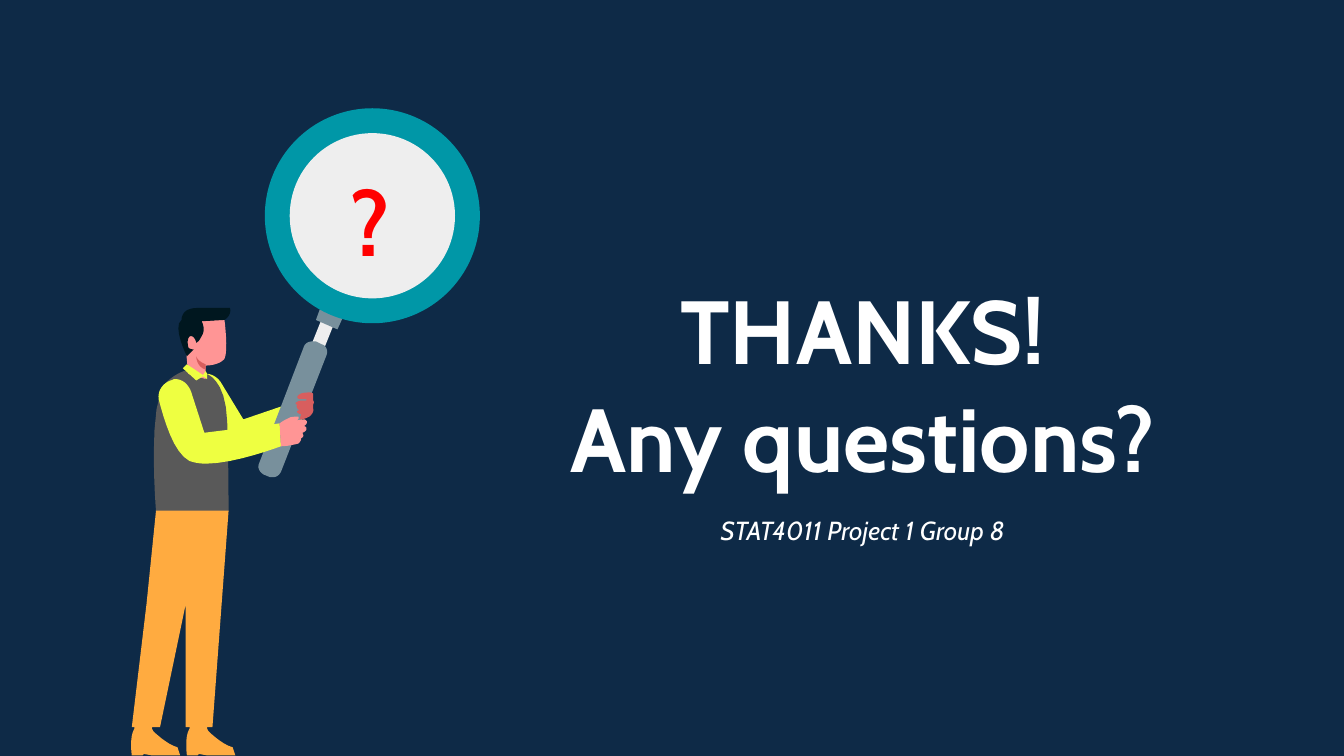
import pptx
import pptx.util
import pptx.dml.color
import pptx.enum.shapes
import pptx.enum.text

Cm = pptx.util.Cm
RGBColor = pptx.dml.color.RGBColor
SHAPE = pptx.enum.shapes.MSO_SHAPE
ANCHOR = pptx.enum.text.MSO_ANCHOR
ALIGN = pptx.enum.text.PP_ALIGN

NAVY = RGBColor(0x0E, 0x2A, 0x47)
WHITE = RGBColor(0xFF, 0xFF, 0xFF)
RED = RGBColor(0xFF, 0x00, 0x00)
LIME = RGBColor(0xEE, 0xFF, 0x41)
PALE = RGBColor(0xEE, 0xEE, 0xEE)
STEEL = RGBColor(0x78, 0x90, 0x9C)
TEAL = RGBColor(0x00, 0x97, 0xA7)
GREY = RGBColor(0x59, 0x59, 0x59)
SKIN = RGBColor(0xFF, 0x95, 0x95)
SHADE = RGBColor(0xD8, 0x5E, 0x5E)
BLACK = RGBColor(0x00, 0x17, 0x1F)
ORANGE = RGBColor(0xFF, 0xAB, 0x40)

FONT = "Cabin"
GRID_LEFT, GRID_TOP, GRID_WIDTH = 96, 81, 261
CURVE_STEPS = 8
SHOE_GAP = 41

MAGNIFIER = {
    "far sleeve": (LIME, "M 153 278 C 157 278 161 280 164 284 L 181 312 L 225 297 L 228 309 "
                   "C 228 309 196 337 177 337 C 175 337 174 337 173 336 "
                   "C 160 334 149 308 143 294 C 140 288 142 281 148 278 L 148 280 "
                   "C 149 279 151 278 153 278"),
    "rod": (PALE, "M 239 238 L 248 242 L 222 307 L 213 303"),
    "handle": (STEEL, "M 232 254 C 233 254 234 254 235 254 L 239 256 C 243 257 244 261 243 264 "
               "L 209 351 C 208 353 206 355 203 355 C 203 355 202 355 201 355 L 196 353 "
               "C 193 351 191 348 193 344 L 226 258 C 227 255 230 254 232 254"),
    "collar": (STEEL, "M 239 227 L 256 234 L 251 245 L 235 238"),
}

PERSON = {
    "vest": (GREY, "M 143 275 C 150 275 153 278 153 278 C 153 278 168 281 169 314 "
             "C 170 339 170 380 170 380 L 116 380 C 116 380 109 297 124 284 "
             "C 132 277 138 275 143 275"),
    "face": (SKIN, "M 167 238 C 167 238 170 261 167 267 C 163 272 153 272 153 272 "
             "L 153 282 L 140 278 L 139 267 L 137 239"),
    "hair": (BLACK, "M 153 229 C 162 229 171 229 171 229 C 171 229 173 234 167 238 L 150 239 "
             "C 152 243 152 247 150 250 C 149 252 148 254 146 255 "
             "C 146 255 145 250 142 250 C 140 250 139 254 140 258 "
             "C 140 259 142 260 144 260 L 139 265 C 139 265 128 243 135 238 "
             "C 135 235 137 231 141 230 C 143 229 148 229 153 229"),
    "neck shade": (SHADE, "M 146 265 C 147 269 153 271 153 271 L 153 275 C 146 273 146 265 146 265"),
    "shirt collar": (LIME, "M 139 271 L 151 279 L 153 276 L 154 278 L 154 282 L 151 280 "
                     "L 146 283 L 136 274"),
    "trousers": (ORANGE, "M 170 380 L 158 541 L 138 541 L 138 450 L 119 541 L 98 541 "
                 "L 109 449 L 116 380"),
}

SHOE = ("M 114 534 L 113 542 L 114 544 C 114 544 124 554 132 556 L 134 562 L 113 562 "
        "L 107 561 L 106 562 L 98 562 C 98 562 96 548 100 542 L 100 534")

ARM = {
    "near sleeve": (LIME, "M 130 282 C 136 282 140 286 142 291 L 152 322 L 208 315 L 209 332 "
                    "C 209 332 175 345 153 345 C 148 345 144 344 141 343 "
                    "C 129 337 122 312 118 297 C 117 291 121 285 127 283 "
                    "C 128 283 129 282 130 282"),
    "near hand": (SKIN, "M 220 310 C 221 310 221 310 222 310 C 223 311 221 313 220 313 "
                  "C 218 313 217 314 216 314 C 216 314 223 312 226 312 "
                  "C 227 312 227 312 228 313 C 229 314 228 316 226 317 "
                  "C 226 317 228 317 228 319 C 228 321 225 322 225 322 "
                  "C 226 324 226 325 224 326 C 224 328 223 329 222 330 "
                  "C 218 331 213 332 209 332 L 208 315 C 208 315 212 312 215 311 "
                  "C 216 310 219 310 220 310"),
    "far hand": (SHADE, "M 231 292 C 232 292 233 293 233 293 C 233 295 233 296 233 298 "
                 "C 233 298 234 299 233 301 C 233 302 233 303 233 304 "
                 "C 233 304 234 307 230 310 C 228 311 226 312 223 312 L 224 308 "
                 "C 222 308 221 307 221 306 C 222 305 224 305 224 305 "
                 "C 223 305 221 305 221 303 C 220 303 221 302 221 301 "
                 "C 220 301 219 300 221 299 C 222 298 225 298 226 298 "
                 "C 227 298 228 298 228 298 L 228 297 C 227 297 225 297 224 297 "
                 "C 222 297 220 296 222 294 C 224 292 228 292 231 292"),
}


def outline_points(outline):
    points = []
    for segment in outline.replace("L", "|").replace("C", "|").replace("M", "|").split("|")[1:]:
        values = [float(value) for value in segment.split()]
        corners = list(zip(values[::2], values[1::2]))
        if len(corners) == 1:
            points += corners
            continue
        curve = [points[-1]] + corners
        for step in range(1, CURVE_STEPS + 1):
            t = step / CURVE_STEPS
            weights = ((1 - t) ** 3, 3 * t * (1 - t) ** 2, 3 * t * t * (1 - t), t ** 3)
            points.append(tuple(sum(w * p[axis] for w, p in zip(weights, curve))
                                for axis in (0, 1)))
    return points


def paint(part, color):
    part.shadow.inherit = False
    part.fill.solid()
    part.fill.fore_color.rgb = color
    part.line.fill.background()


def add_text(slide, box, lines, size, color, align=ALIGN.CENTER, anchor=ANCHOR.TOP,
             inset=Cm(0.25), bold=False, italic=False):
    frame = slide.shapes.add_textbox(*box).text_frame
    frame.word_wrap = True
    frame.vertical_anchor = anchor
    frame.margin_left = frame.margin_right = Cm(0.25)
    frame.margin_top = frame.margin_bottom = inset
    paragraph = frame.paragraphs[0]
    paragraph.alignment = align
    for index, line in enumerate(lines):
        if index:
            paragraph.add_line_break()
        run = paragraph.add_run()
        run.text = line
        run.font.name = FONT
        run.font.size = pptx.util.Pt(size)
        run.font.color.rgb = color
        run.font.bold = bold
        run.font.italic = italic


def add_searcher(slide, left, top, width):
    unit = width / GRID_WIDTH
    figure = slide.shapes.add_group_shape().shapes

    def place(x, y):
        return round(left + (x - GRID_LEFT) * unit), round(top + (y - GRID_TOP) * unit)

    def draw(color, outline, shift=0):
        points = [place(x + shift, y) for x, y in outline_points(outline)]
        builder = figure.build_freeform(*points[0], scale=1.0)
        builder.add_line_segments(points[1:], close=True)
        paint(builder.convert_to_shape(), color)

    def draw_disc(kind, radius, color):
        side = round(2 * radius * unit)
        disc = figure.add_shape(kind, *place(277 - radius, 160.5 - radius), side, side)
        paint(disc, color)
        return disc

    for color, outline in MAGNIFIER.values():
        draw(color, outline)
    rim = draw_disc(SHAPE.DONUT, 80, TEAL)
    rim.adjustments[0] = 0.12
    draw_disc(SHAPE.OVAL, 61.5, PALE)
    for color, outline in PERSON.values():
        draw(color, outline)
    for shoe in range(2):
        draw(ORANGE, SHOE, shoe * SHOE_GAP)
    for color, outline in ARM.values():
        draw(color, outline)

    question_box = (*place(251, 119), round(52 * unit), round(91 * unit))
    add_text(slide, question_box, ["?"], 48, RED, ALIGN.LEFT, inset=Cm(0.13), bold=True)


def add_closing(slide, left, top, width):
    add_text(slide, (left, top, width, Cm(4.67)), ["THANKS!", "Any questions?"], 48, WHITE,
             anchor=ANCHOR.BOTTOM, bold=True)
    side = Cm(0.38)
    add_text(slide, (left + side, top + Cm(4.62), width - 2 * side, Cm(1.3)),
             ["STAT4011 Project 1 Group 8"], 14, WHITE, italic=True)


def main():
    deck = pptx.Presentation()
    deck.slide_width, deck.slide_height = Cm(25.4), Cm(14.29)
    slide = deck.slides.add_slide(deck.slide_layouts[6])
    slide.background.fill.solid()
    slide.background.fill.fore_color.rgb = NAVY
    add_searcher(slide, Cm(2.44), Cm(2.06), Cm(6.63))
    add_closing(slide, Cm(9.83), Cm(4.85), Cm(12.95))
    deck.save("out.pptx")


if __name__ == "__main__":
    main()
